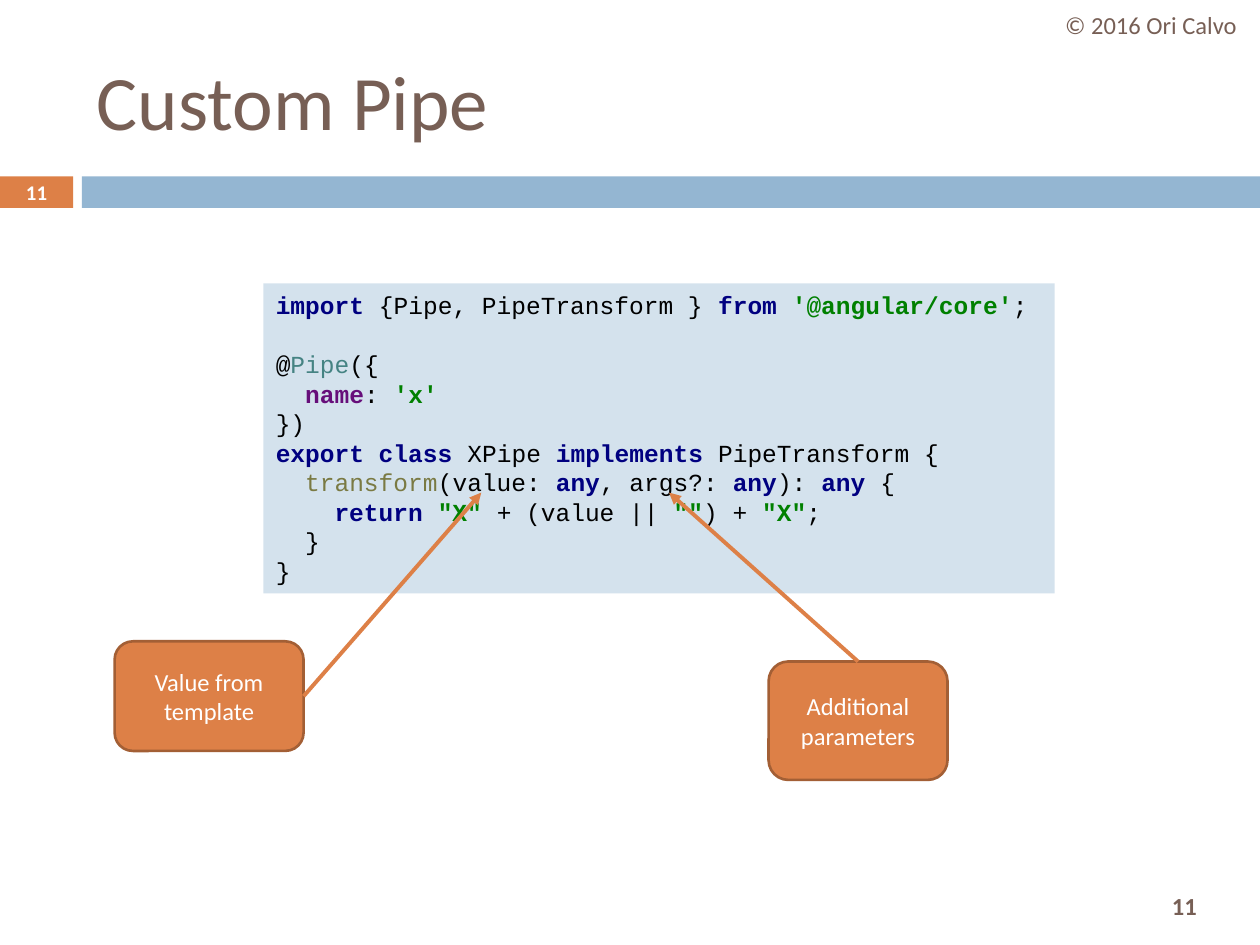
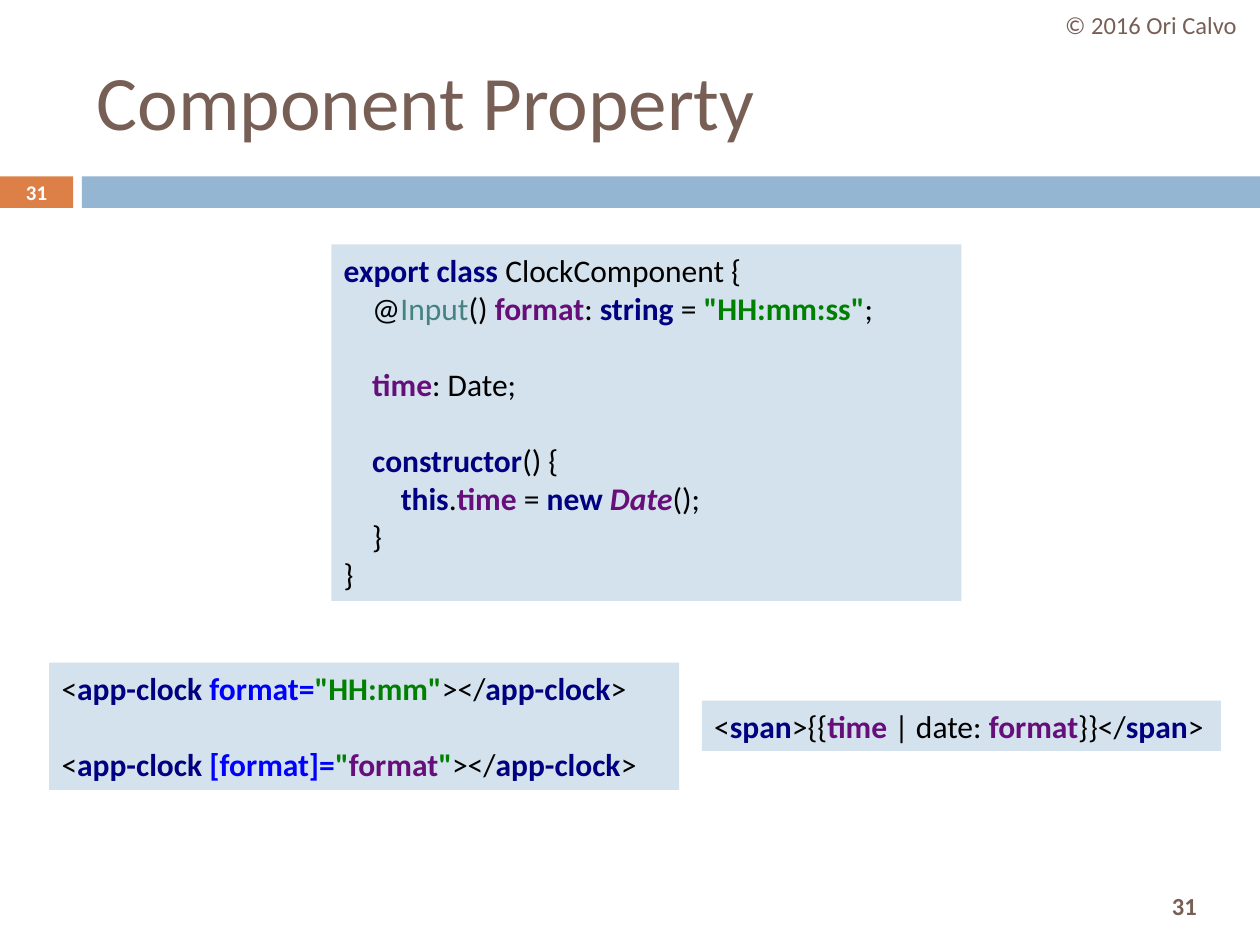
from dataclasses import dataclass
from typing import NamedTuple

from lxml.etree import SubElement
from pptx import Presentation
from pptx.dml.color import RGBColor
from pptx.enum.shapes import MSO_CONNECTOR, MSO_SHAPE
from pptx.enum.text import MSO_ANCHOR, PP_ALIGN
from pptx.oxml.ns import qn
from pptx.util import Inches, Pt

RECT, ROUND = MSO_SHAPE.RECTANGLE, MSO_SHAPE.ROUNDED_RECTANGLE
STRAIGHT = MSO_CONNECTOR.STRAIGHT
TOP, MIDDLE = MSO_ANCHOR.TOP, MSO_ANCHOR.MIDDLE
LEFT, CENTER = PP_ALIGN.LEFT, PP_ALIGN.CENTER
WIDE, HIGH = Inches(10), Inches(7.5)
TOP_SITE, RIGHT_SITE = 0, 3  # connection sites of a rounded box


# Theme: colours, fonts and type sizes
@dataclass(frozen=True)
class Theme:
    brown: str = "775F55"
    orange: str = "DD8047"
    rust: str = "A35F35"
    blue: str = "94B6D2"
    pale: str = "D4E2ED"
    white: str = "FFFFFF"
    font: str = "Calibri"
    title: float = 44
    body: float = 14
    badge: float = 11.9


THEME = Theme()


class Ink(NamedTuple):
    color: str
    bold: bool = False
    italic: bool = False


# Syntax colours
PLAIN = Ink("000000")
KEY = Ink("000080", True)
STR = Ink("008000", True)
NAME = Ink("660E7A", True)
TYPE = Ink("660E7A", True, True)
ATTR = Ink("0000FF", True)
DECO = Ink("458383")
FUNC = Ink("7A7A43")


class Face(NamedTuple):
    """Code type: size, line pitch and indent step in points."""
    font: str
    size: float
    pitch: float
    step: float


MONO = Face("Courier New", 14, 16.9, 16.8)
SANS = Face("Calibri", 18, 21.7, 16.3)


class Box(NamedTuple):
    """Place in percent of the slide's width and height."""
    x: float
    y: float
    w: float
    h: float


@dataclass(frozen=True)
class Row:
    """One line of code; gap counts the empty lines above it."""
    words: list[tuple[Ink, str]]
    depth: int = 0
    gap: int = 0


@dataclass(frozen=True)
class Code:
    box: Box
    face: Face
    rows: list[Row]
    wrap: bool = True


@dataclass(frozen=True)
class Note:
    """Callout with an arrow from one of its sites to a target."""
    box: Box
    text: str
    site: int
    to: tuple[float, float]


@dataclass(frozen=True)
class Page:
    title: str
    number: int
    codes: list[Code]
    notes: list[Note]


# Places shared by all slides
BADGE = Box(0, 18.67, 5.8, 3.33)
BAND = Box(6.5, 18.67, 93.5, 3.33)
FOOT = Box(89.4, 93.07, 9.2, 5.6)
TITLE = Box(6.7, 3.33, 89.2, 14.4)
CREDIT = Box(82.7, 0, 17.3, 5.33)


# Content
PIPE = [
    Row([(KEY, "import "), (PLAIN, "{Pipe, PipeTransform } "), (KEY, "from "),
         (STR, "'@angular/core'"), (PLAIN, ";")]),
    Row([(PLAIN, "@"), (DECO, "Pipe"), (PLAIN, "({")], gap=1),
    Row([(NAME, "name"), (PLAIN, ": "), (STR, "'x'")], 1),
    Row([(PLAIN, "})")]),
    Row([(KEY, "export class "), (PLAIN, "XPipe "), (KEY, "implements "),
         (PLAIN, "PipeTransform {")]),
    Row([(FUNC, "transform"), (PLAIN, "(value: "), (KEY, "any"),
         (PLAIN, ", args?: "), (KEY, "any"), (PLAIN, "): "), (KEY, "any "),
         (PLAIN, "{")], 1),
    Row([(KEY, "return "), (STR, '"X" '), (PLAIN, "+ (value || "),
         (STR, '""'), (PLAIN, ") + "), (STR, '"X"'), (PLAIN, ";")], 2),
    Row([(PLAIN, "}")], 1),
    Row([(PLAIN, "}")]),
]

CLOCK = [
    Row([(KEY, "export class "), (PLAIN, "ClockComponent {")]),
    Row([(PLAIN, "@"), (DECO, "Input"), (PLAIN, "() "), (NAME, "format"),
         (PLAIN, ": "), (KEY, "string "), (PLAIN, "= "),
         (STR, '"HH:mm:ss"'), (PLAIN, ";")], 1),
    Row([(NAME, "time"), (PLAIN, ": Date;")], 1, 1),
    Row([(KEY, "constructor"), (PLAIN, "() {")], 1, 1),
    Row([(KEY, "this"), (PLAIN, "."), (NAME, "time "), (PLAIN, "= "),
         (KEY, "new "), (TYPE, "Date"), (PLAIN, "();")], 2),
    Row([(PLAIN, "}")], 1),
    Row([(PLAIN, "}")]),
]

SPAN = [
    Row([(PLAIN, "<"), (KEY, "span"), (PLAIN, ">{{"), (NAME, "time "),
         (PLAIN, "| date: "), (NAME, "format"), (PLAIN, "}}</"),
         (KEY, "span"), (PLAIN, ">")]),
]


def tag(words: list[tuple[Ink, str]], gap: int = 0) -> Row:
    """A clock element with the given attribute."""
    return Row([(PLAIN, "<"), (KEY, "app-clock "), *words, (PLAIN, "></"),
                (KEY, "app-clock"), (PLAIN, ">")], gap=gap)


TAGS = [
    tag([(ATTR, "format="), (STR, '"HH:mm"')]),
    tag([(ATTR, "[format]="), (STR, '"'), (NAME, "format"), (STR, '"')], 1),
]

PAGES = [
    Page("Custom Pipe", 11,
         [Code(Box(20.9, 30, 62.8, 32.8), MONO, PIPE)],
         [Note(Box(9.1, 67.87, 15, 11.6), "Value from template",
               RIGHT_SITE, (38.2, 52.13)),
          Note(Box(61, 70, 14.2, 12.53), "Additional parameters",
               TOP_SITE, (53.1, 52.13))]),
    Page("Component Property", 31,
         [Code(Box(26.3, 25.87, 50, 37.73), SANS, CLOCK),
          Code(Box(55.7, 74.13, 41.2, 5.33), SANS, SPAN, False),
          Code(Box(3.9, 70.13, 50, 13.47), SANS, TAGS)],
         []),
]


# Drawing
def across(share: float) -> int:
    return round(WIDE * share / 100)


def down(share: float) -> int:
    return round(HIGH * share / 100)


def place(box: Box) -> tuple[int, int, int, int]:
    return across(box.x), down(box.y), across(box.w), down(box.h)


def style(run, ink: Ink, size: float, font: str = THEME.font) -> None:
    run.font.name = font
    run.font.size = Pt(size)
    run.font.bold = ink.bold
    run.font.italic = ink.italic
    run.font.color.rgb = RGBColor.from_string(ink.color)


def write(shape, text: str, ink: Ink, size: float, align=CENTER) -> None:
    frame = shape.text_frame
    frame.word_wrap = True
    frame.vertical_anchor = MIDDLE
    frame.text = text
    para = frame.paragraphs[0]
    para.alignment = align
    style(para.runs[0], ink, size)


def block(slide, box: Box, fill: str, kind=RECT, edge: str = ""):
    shape = slide.shapes.add_shape(kind, *place(box))
    shape.shadow.inherit = False
    shape.fill.solid()
    shape.fill.fore_color.rgb = RGBColor.from_string(fill)
    if edge:
        shape.line.color.rgb = RGBColor.from_string(edge)
        shape.line.width = Pt(1.5)
    else:
        shape.line.fill.background()
    return shape


def label(slide, box: Box, text: str, ink: Ink, size: float,
          align=CENTER) -> None:
    write(slide.shapes.add_textbox(*place(box)), text, ink, size, align)


def listing(slide, code: Code) -> None:
    face = code.face
    frame = block(slide, code.box, THEME.pale).text_frame
    frame.word_wrap = code.wrap
    frame.vertical_anchor = TOP
    for i, row in enumerate(code.rows):
        para = frame.add_paragraph() if i else frame.paragraphs[0]
        para.alignment = LEFT
        para.line_spacing = Pt(face.pitch)
        para.space_before = Pt(row.gap * face.pitch)
        props = para._p.get_or_add_pPr()
        props.set("marL", str(Pt(row.depth * face.step)))
        props.set("indent", "0")
        for ink, text in row.words:
            run = para.add_run()
            run.text = text
            style(run, ink, face.size, face.font)


def callout(slide, note: Note) -> None:
    shape = block(slide, note.box, THEME.orange, ROUND, THEME.rust)
    write(shape, note.text, Ink(THEME.white), THEME.body)
    x, y = note.to
    arrow = slide.shapes.add_connector(STRAIGHT, 0, 0, across(x), down(y))
    arrow.begin_connect(shape, note.site)
    arrow.line.color.rgb = RGBColor.from_string(THEME.orange)
    arrow.line.width = Pt(2.25)
    props = arrow.element.spPr
    SubElement(props.find(qn("a:ln")), qn("a:tailEnd"), type="triangle")
    SubElement(props, qn("a:effectLst"))


def base(slide, page: Page) -> None:
    """Bands, title, credit and slide numbers."""
    number, brown = str(page.number), Ink(THEME.brown)
    badge = block(slide, BADGE, THEME.orange)
    write(badge, number, Ink(THEME.white, True), THEME.badge)
    block(slide, BAND, THEME.blue)
    label(slide, FOOT, number, Ink(THEME.brown, True), THEME.body)
    label(slide, TITLE, page.title, brown, THEME.title, LEFT)
    label(slide, CREDIT, "© 2016 Ori Calvo", brown, THEME.body)


def main() -> None:
    deck = Presentation()
    deck.slide_width, deck.slide_height = WIDE, HIGH
    for page in PAGES:
        slide = deck.slides.add_slide(deck.slide_layouts[6])
        base(slide, page)
        for code in page.codes:
            listing(slide, code)
        for note in page.notes:
            callout(slide, note)
    deck.save("out.pptx")


if __name__ == "__main__":
    main()
